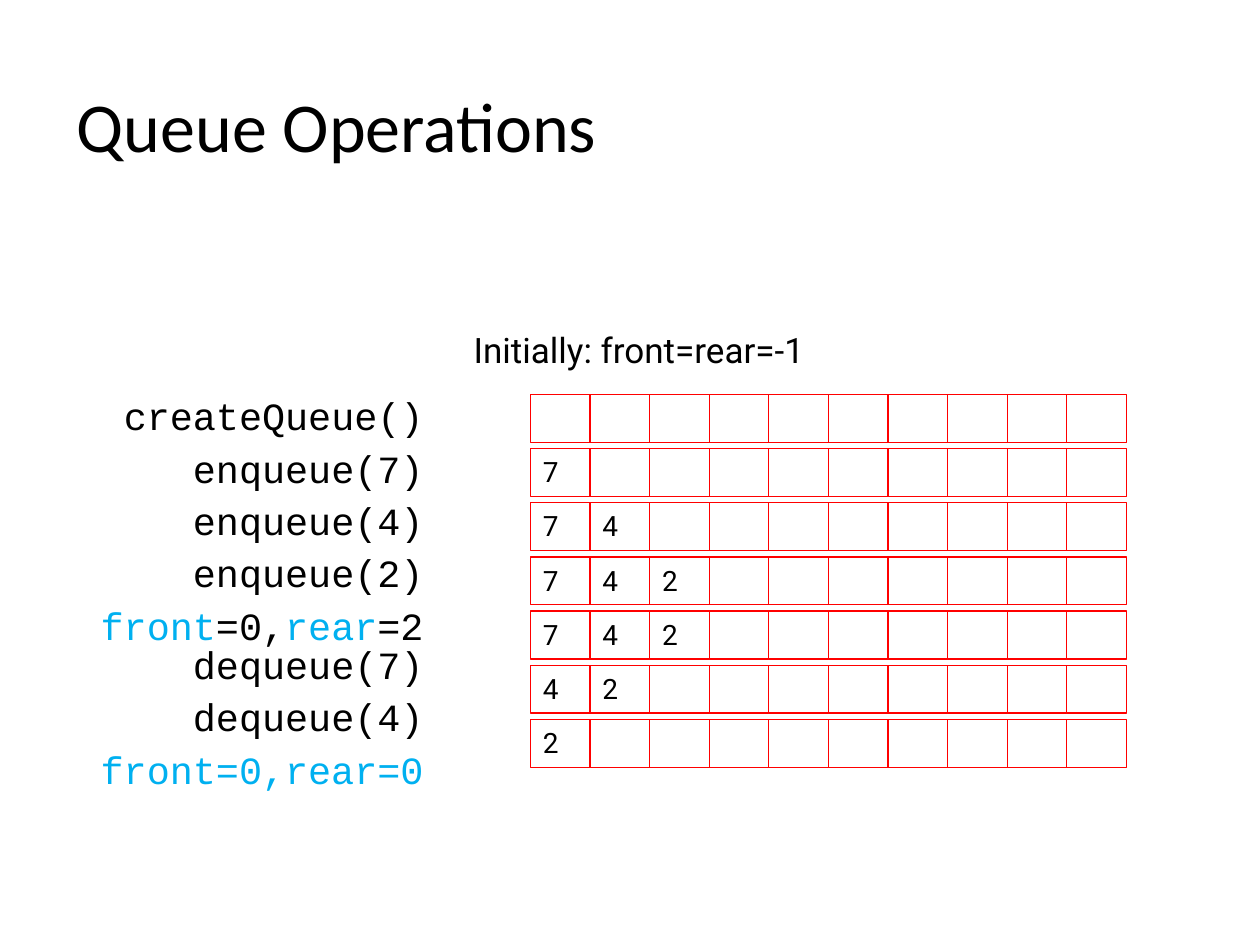
from dataclasses import dataclass

import pptx
import pptx.dml.color
import pptx.enum.shapes
import pptx.enum.text
import pptx.util

COLOURS = {"text": "000000", "pointer": "00B0F0", "cell": "FF0000"}
CODE_FONT = "Courier New"
LABEL_FONT = "Roboto"
ALIGN = pptx.enum.text.PP_ALIGN
ANCHOR = pptx.enum.text.MSO_ANCHOR


@dataclass(frozen=True)
class Box:
    left: float
    top: float
    width: float
    height: float

    def place(self) -> tuple:
        return tuple(
            pptx.util.Inches(length)
            for length in (self.left, self.top, self.width, self.height)
        )


@dataclass(frozen=True)
class Grid:
    left: float
    top: float
    width: float
    columns: int
    row_pitch: float
    cell_height: float

    def cell(self, row: int, column: int) -> Box:
        cell_width = self.width / self.columns
        return Box(
            self.left + column * cell_width,
            self.top + row * self.row_pitch,
            cell_width,
            self.cell_height,
        )


TITLE_BOX = Box(0.51, 0.23, 9.49, 1.6)
OPERATIONS_BOX = Box(0.35, 3.12, 3.11, 3.39)
INITIAL_BOX = Box(3.66, 2.56, 4.09, 0.43)
QUEUE_GRID = Grid(4.21, 3.13, 4.73, 10, 0.43, 0.38)
QUEUE_STATES = ("", "7", "74", "742", "742", "42", "2")
OPERATIONS = (
    (("createQueue()", "text"),),
    (("enqueue(7)", "text"),),
    (("enqueue(4)", "text"),),
    (("enqueue(2)", "text"),),
    (
        ("front", "pointer"),
        ("=0,", "text"),
        ("rear", "pointer"),
        ("=2\ndequeue(7)", "text"),
    ),
    (("dequeue(4)", "text"),),
    (("front=0,rear=0", "pointer"),),
)


def write_text(paragraph, text: str, *, size: float, font: str,
               colour: str = "text", align=ALIGN.LEFT) -> None:
    paragraph.alignment = align
    for index, line in enumerate(text.split("\n")):
        if index:
            paragraph.add_line_break()
        run = paragraph.add_run()
        run.text = line
        run.font.size = pptx.util.Pt(size)
        run.font.name = font
        run.font.color.rgb = pptx.dml.color.RGBColor.from_string(COLOURS[colour])


def add_text_frame(slide, box: Box):
    text_frame = slide.shapes.add_textbox(*box.place()).text_frame
    text_frame.word_wrap = True
    return text_frame


def set_title(slide) -> None:
    title = slide.shapes.title
    title.left, title.top, title.width, title.height = TITLE_BOX.place()
    title.text_frame.vertical_anchor = ANCHOR.MIDDLE
    paragraph = title.text_frame.paragraphs[0]
    paragraph.line_spacing = 0.9
    write_text(paragraph, "Queue Operations", size=40, font="Calibri")


def add_operations(slide) -> None:
    text_frame = add_text_frame(slide, OPERATIONS_BOX)
    for index, pieces in enumerate(OPERATIONS):
        paragraph = text_frame.add_paragraph() if index else text_frame.paragraphs[0]
        paragraph.line_spacing = 0.85
        if index:
            paragraph.space_before = pptx.util.Pt(7.5)
        for text, colour in pieces:
            write_text(paragraph, text, size=22, font=CODE_FONT,
                       colour=colour, align=ALIGN.RIGHT)


def add_cell(group, box: Box, value: str) -> None:
    shape = group.shapes.add_shape(
        pptx.enum.shapes.MSO_SHAPE.RECTANGLE, *box.place()
    )
    shape.shadow.inherit = False
    shape.fill.background()
    shape.line.color.rgb = pptx.dml.color.RGBColor.from_string(COLOURS["cell"])
    shape.line.width = pptx.util.Pt(0.75)
    if value:
        shape.text_frame.vertical_anchor = ANCHOR.TOP
        write_text(shape.text_frame.paragraphs[0], value, size=16, font=LABEL_FONT)


def add_queue(slide, row: int, values: str) -> None:
    group = slide.shapes.add_group_shape()
    for column, value in enumerate(values.ljust(QUEUE_GRID.columns)):
        add_cell(group, QUEUE_GRID.cell(row, column), value.strip())


def main() -> None:
    presentation = pptx.Presentation()
    presentation.slide_width = pptx.util.Inches(10)
    presentation.slide_height = pptx.util.Inches(7.5)
    slide = presentation.slides.add_slide(
        presentation.slide_layouts.get_by_name("Title Only")
    )
    set_title(slide)
    add_operations(slide)
    write_text(add_text_frame(slide, INITIAL_BOX).paragraphs[0],
               "Initially: front=rear=-1", size=20, font=LABEL_FONT)
    for row, values in enumerate(QUEUE_STATES):
        add_queue(slide, row, values)
    presentation.save("out.pptx")


if __name__ == "__main__":
    main()
